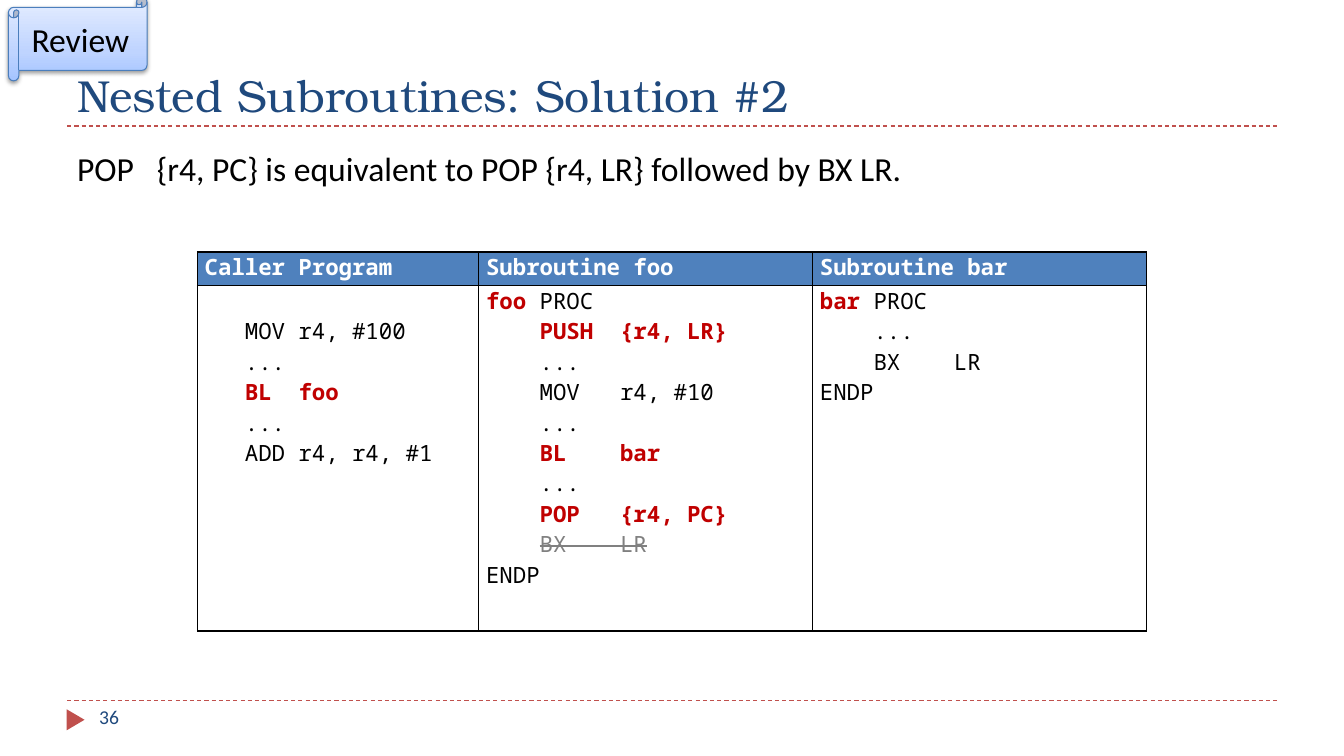
from copy import deepcopy
from dataclasses import dataclass

from lxml.etree import SubElement
from pptx import Presentation
from pptx.dml.color import RGBColor
from pptx.enum.dml import MSO_LINE
from pptx.enum.shapes import MSO_CONNECTOR, MSO_SHAPE
from pptx.enum.text import MSO_ANCHOR, PP_ALIGN
from pptx.oxml.ns import qn
from pptx.util import Pt

EMU_PER_PX = 9525


@dataclass(frozen=True)
class Theme:
    """Colours, fonts and type sizes of the slide."""
    title_font: str = "TeX Gyre Bonum"
    body_font: str = "Calibri"
    code_font: str = "Noto Sans Mono"
    title_size: int = 32
    body_size: int = 24
    code_size: int = 16
    number_size: int = 14
    navy: str = "1F497D"
    brick: str = "C0504D"
    header: str = "4F81BD"
    white: str = "FFFFFF"
    black: str = "000000"
    keyword: str = "C00000"
    struck: str = "808080"
    scroll_line: str = "4B7EBC"
    scroll_stops: tuple = ((0, "A4C4FF"), (0.35, "BFD4FF"), (1, "E6EEFF"))


THEME = Theme()
STYLES = {
    "plain": {"color": THEME.black},
    "key": {"color": THEME.keyword, "bold": True},
    "struck": {"color": THEME.struck, "strike": True},
}
HEADINGS = ["Caller Program", "Subroutine foo", "Subroutine bar"]
CALLER = [
    [("   MOV r4, #100", "plain")],
    [("   ...", "plain")],
    [("   ", "plain"), ("BL  foo", "key")],
    [("   ...", "plain")],
    [("   ADD r4, r4, #1", "plain")],
]
FOO = [
    [("foo ", "key"), ("PROC", "plain")],
    [("    ", "plain"), ("PUSH  {r4, LR}", "key")],
    [("    ...", "plain")],
    [("    MOV   r4, #10", "plain")],
    [("    ...", "plain")],
    [("    ", "plain"), ("BL    bar", "key")],
    [("    ...", "plain")],
    [("    ", "plain"), ("POP   {r4, PC}", "key")],
    [("    ", "plain"), ("BX    LR", "struck")],
    [("ENDP", "plain")],
]
BAR = [
    [("bar", "key"), (" PROC", "plain")],
    [("    ...", "plain")],
    [("    BX    LR", "plain")],
    [("ENDP", "plain")],
]


def px(length):
    """Turn a length in px into EMU."""
    return length * EMU_PER_PX


def rgb(color):
    """Turn a hex colour into an RGBColor."""
    return RGBColor.from_string(color)


def add_run(paragraph, text, *, font, size, color, bold=False, strike=False):
    """Append formatted text to a paragraph."""
    run = paragraph.add_run()
    run.text = text
    run.font.name = font
    run.font.size = Pt(size)
    run.font.bold = bold
    run.font.color.rgb = rgb(color)
    if strike:
        run._r.get_or_add_rPr().set("strike", "sngStrike")


def add_label(slide, box, text, anchor=MSO_ANCHOR.TOP, **text_format):
    """Place one line of text in a box."""
    frame = slide.shapes.add_textbox(*map(px, box)).text_frame
    frame.word_wrap = True
    frame.vertical_anchor = anchor
    add_run(frame.paragraphs[0], text, **text_format)


def add_rule(slide, left, top, width):
    """Draw a dashed horizontal rule."""
    rule = slide.shapes.add_connector(
        MSO_CONNECTOR.STRAIGHT, px(left), px(top), px(left + width), px(top))
    rule.line.color.rgb = rgb(THEME.brick)
    rule.line.width = Pt(0.75)
    rule.line.dash_style = MSO_LINE.DASH
    SubElement(rule._element.spPr, qn("a:effectLst"))


def add_title(slide, box):
    """Place the title above its rule."""
    left, top, width, height = box
    add_rule(slide, left, top + height, width)
    add_label(slide, box, "Nested Subroutines: Solution #2", MSO_ANCHOR.BOTTOM,
              font=THEME.title_font, size=THEME.title_size, color=THEME.navy)


def add_footer(slide, box):
    """Place the rule, marker and slide number."""
    left, top, width, height = box
    add_rule(slide, left, top, width)
    marker = slide.shapes.add_shape(
        MSO_SHAPE.ISOSCELES_TRIANGLE, px(left - 2), px(top + 10), px(20), px(17))
    marker.rotation = 90
    marker.shadow.inherit = False
    marker.fill.solid()
    marker.fill.fore_color.rgb = rgb(THEME.brick)
    marker.line.fill.background()
    add_label(slide, (left + 21, top, 277, height), "36",
              font=THEME.body_font, size=THEME.number_size, color=THEME.navy)


def add_borders(cell):
    """Give a cell black borders on all sides."""
    properties = cell._tc.get_or_add_tcPr()
    for side in ("lnL", "lnR", "lnT", "lnB"):
        border = SubElement(properties, qn(f"a:{side}"), w=str(Pt(1)))
        fill = SubElement(border, qn("a:solidFill"))
        SubElement(fill, qn("a:srgbClr"), val=THEME.black)


def fill_cell(cell, lines, **text_format):
    """Write lines of styled code into a cell."""
    cell.margin_left = cell.margin_right = px(7)
    cell.margin_top = cell.margin_bottom = 0
    add_borders(cell)
    frame = cell.text_frame
    for index, segments in enumerate(lines):
        paragraph = frame.add_paragraph() if index else frame.paragraphs[0]
        paragraph.alignment = PP_ALIGN.JUSTIFY
        for text, style in segments:
            add_run(paragraph, text, font=THEME.code_font, size=THEME.code_size,
                    **{**STYLES[style], **text_format})


def add_code_table(slide, box):
    """Place the code of caller and subroutines side by side."""
    left, top, width, height = box
    table = slide.shapes.add_table(2, len(HEADINGS), *map(px, box)).table
    table.horz_banding = False
    caller_width, header_height, line_height = 268, 32, 29
    table.columns[0].width = px(caller_width)
    for column in (1, 2):
        table.columns[column].width = px((width - caller_width) // 2)
    table.rows[0].height = px(header_height)
    table.rows[1].height = px(height - header_height)
    for column, (heading, code) in enumerate(zip(HEADINGS, (CALLER, FOO, BAR))):
        header, body = table.cell(0, column), table.cell(1, column)
        fill_cell(header, [[(heading, "plain")]], color=THEME.white, bold=True)
        header.fill.solid()
        header.fill.fore_color.rgb = rgb(THEME.header)
        fill_cell(body, code)
        body.fill.background()
    table.cell(1, 0).margin_top = px(line_height)


def add_review_scroll(slide, box):
    """Place the review tag as a shaded scroll."""
    scroll = slide.shapes.add_shape(MSO_SHAPE.HORIZONTAL_SCROLL, *map(px, box))
    scroll.fill.gradient()
    scroll.fill.gradient_angle = 90
    first_stop = scroll.fill.gradient_stops[0]._gs
    first_stop.addnext(deepcopy(first_stop))
    for stop, (position, color) in zip(scroll.fill.gradient_stops, THEME.scroll_stops):
        stop.position = position
        stop.color.rgb = rgb(color)
    scroll.line.color.rgb = rgb(THEME.scroll_line)
    scroll.line.width = Pt(0.75)
    scroll.shadow.inherit = False
    effects = scroll._element.spPr.find(qn("a:effectLst"))
    shadow = SubElement(effects, qn("a:outerShdw"), blurRad="40000", dist="20000",
                        dir="5400000", rotWithShape="0")
    shade = SubElement(shadow, qn("a:srgbClr"), val=THEME.black)
    SubElement(shade, qn("a:alpha"), val="38000")
    frame = scroll.text_frame
    frame.vertical_anchor = MSO_ANCHOR.MIDDLE
    frame.paragraphs[0].alignment = PP_ALIGN.CENTER
    add_run(frame.paragraphs[0], "Review", font=THEME.body_font,
            size=THEME.body_size, color=THEME.black)


def main():
    """Build and save the slide."""
    presentation = Presentation()
    presentation.slide_width, presentation.slide_height = px(1280), px(720)
    slide = presentation.slides.add_slide(presentation.slide_layouts[6])
    add_title(slide, (64, 16, 1152, 104))
    add_footer(slide, (64, 667, 1152, 38))
    add_code_table(slide, (188, 240, 904, 361))
    add_label(slide, (64, 136, 1152, 48),
              "POP   {r4, PC} is equivalent to POP {r4, LR} followed by BX LR.",
              font=THEME.body_font, size=THEME.body_size, color=THEME.black)
    add_review_scroll(slide, (8, -3, 132, 80))
    presentation.save("out.pptx")


if __name__ == "__main__":
    main()
